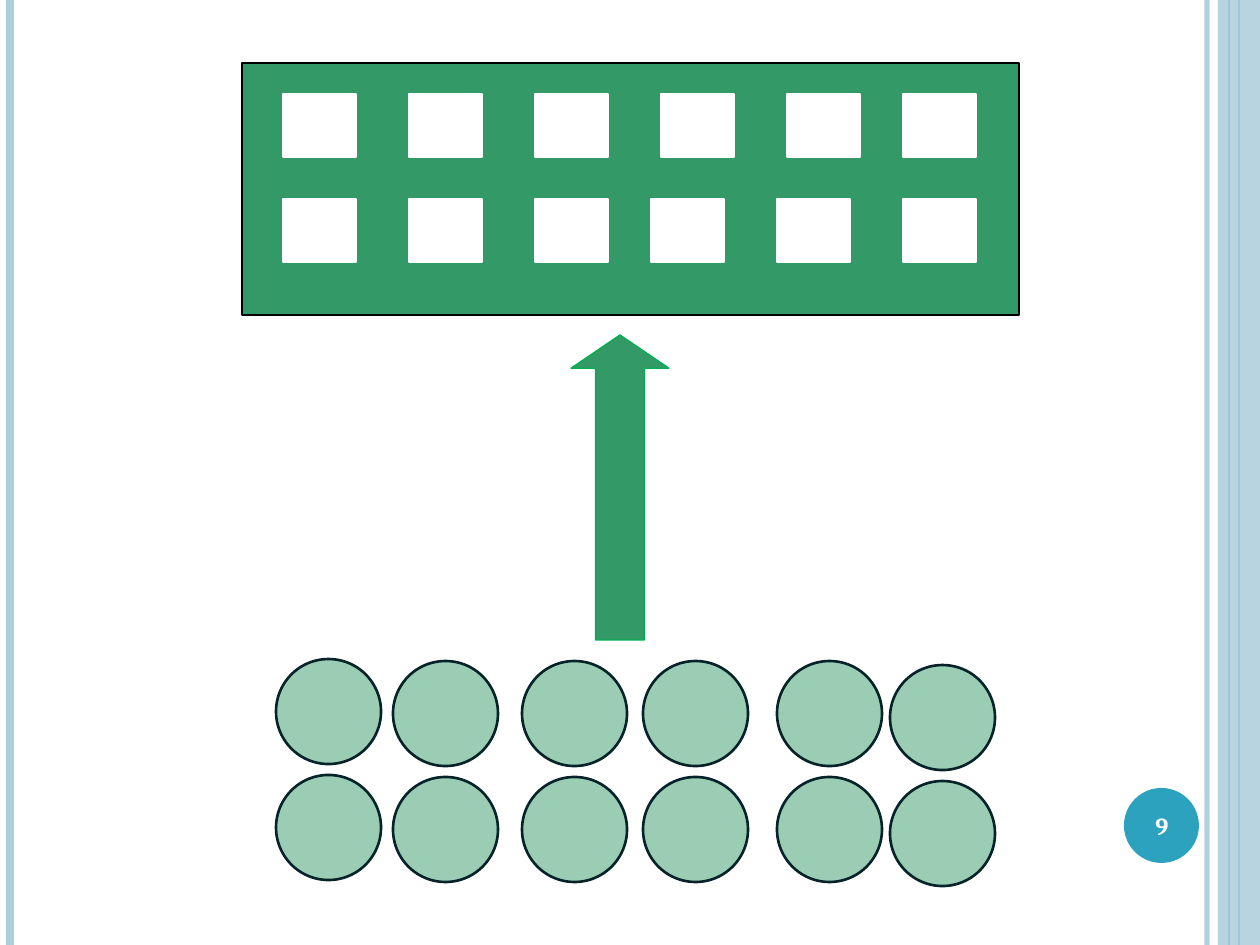
from lxml.etree import SubElement
from pptx import Presentation
from pptx.dml.color import RGBColor
from pptx.enum.shapes import MSO_CONNECTOR, MSO_SHAPE as Shape
from pptx.enum.text import MSO_ANCHOR, PP_ALIGN
from pptx.oxml.ns import qn
from pptx.util import Pt

EMU_PER_PX = 914400 / 126
WIDTH, HEIGHT = 1260, 945

WHITE = RGBColor(0xFF, 0xFF, 0xFF)
BLACK = RGBColor(0x00, 0x00, 0x00)
PALE_BLUE = RGBColor(0xAD, 0xCE, 0xDC)
TEAL = RGBColor(0x2D, 0xA2, 0xBF)
GREEN = RGBColor(0x33, 0x99, 0x66)
ARROW_EDGE = RGBColor(0x00, 0xB0, 0x50)
DARK = RGBColor(0x06, 0x23, 0x29)

WINDOW_ROWS = (
    (94, (283, 409, 535, 661, 787, 903)),
    (199, (283, 409, 535, 651, 777, 903)),
)
CIRCLE_COLUMNS = (
    (276, 659), (393, 661), (522, 661), (643, 661), (777, 661), (890, 665),
)
CIRCLE_SIZE, CIRCLE_PITCH = 105, 116


def px(length):
    """Turn pixels into EMU."""
    return round(length * EMU_PER_PX)


def set_opacity(solid_parent, percent):
    """Make the solid colour inside an element partly transparent."""
    color = solid_parent.find(qn("a:solidFill"))[0]
    SubElement(color, qn("a:alpha")).set("val", str(percent * 1000))


def add_figure(slide, kind, box, fill, edge=None, edge_width=0.75, opacity=100):
    """Add a filled preset shape, with an outline when an edge colour is given."""
    figure = slide.shapes.add_shape(kind, *map(px, box))
    figure.shadow.inherit = False
    figure.fill.solid()
    figure.fill.fore_color.rgb = fill
    if opacity < 100:
        set_opacity(figure._element.spPr, opacity)
    if edge is None:
        figure.line.fill.background()
    else:
        figure.line.color.rgb = edge
        figure.line.width = Pt(edge_width)
    return figure


def add_stripe(slide, x, color, width, opacity=100):
    """Add a vertical line over the full slide height."""
    stripe = slide.shapes.add_connector(
        MSO_CONNECTOR.STRAIGHT, px(x), 0, px(x), px(HEIGHT))
    stripe.line.color.rgb = color
    stripe.line.width = Pt(width)
    if opacity < 100:
        set_opacity(stripe.line._ln, opacity)
    SubElement(stripe._element.spPr, qn("a:effectLst"))


def add_frame(slide):
    """Add the side stripes and the badge of the page number."""
    add_stripe(slide, 1207, PALE_BLUE, 3, opacity=93)
    add_stripe(slide, 10, PALE_BLUE, 4.5)
    add_stripe(slide, 1239, TEAL, 0.75)
    add_stripe(slide, 1229, TEAL, 1.5)
    add_figure(slide, Shape.RECTANGLE, (1218, 0, 42, HEIGHT), PALE_BLUE, opacity=87)
    add_figure(slide, Shape.OVAL, (1124, 788, 75, 75), TEAL)


def add_panel(slide):
    """Add the green panel with its two rows of windows."""
    add_figure(slide, Shape.RECTANGLE, (242, 63, 777, 252), GREEN, BLACK)
    for top, lefts in WINDOW_ROWS:
        for left in lefts:
            add_figure(slide, Shape.RECTANGLE, (left, top, 73, 63), WHITE, WHITE)


def add_arrow(slide):
    """Add the arrow that points from the circles to the panel."""
    arrow = add_figure(slide, Shape.UP_ARROW, (571, 335, 98, 305), GREEN, ARROW_EDGE)
    arrow.adjustments[0] = 0.5
    arrow.adjustments[1] = 0.34


def add_circles(slide):
    """Add two circles to each column."""
    for left, first_top in CIRCLE_COLUMNS:
        for top in (first_top, first_top + CIRCLE_PITCH):
            add_figure(slide, Shape.OVAL, (left, top, CIRCLE_SIZE, CIRCLE_SIZE),
                       GREEN, DARK, 1.5, opacity=49)


def add_page_number(slide, number):
    """Write the page number over its badge."""
    frame = slide.shapes.add_textbox(*map(px, (1120, 790, 84, 72))).text_frame
    frame.word_wrap = True
    frame.vertical_anchor = MSO_ANCHOR.MIDDLE
    paragraph = frame.paragraphs[0]
    paragraph.text = number
    paragraph.alignment = PP_ALIGN.CENTER
    paragraph.font.name = "Cambria"
    paragraph.font.size = Pt(14)
    paragraph.font.bold = True
    paragraph.font.color.rgb = WHITE


def main():
    """Build the slide and save it."""
    deck = Presentation()
    deck.slide_width, deck.slide_height = px(WIDTH), px(HEIGHT)
    slide = deck.slides.add_slide(deck.slide_layouts[6])
    add_frame(slide)
    add_panel(slide)
    add_arrow(slide)
    add_circles(slide)
    add_page_number(slide, "9")
    deck.save("out.pptx")


if __name__ == "__main__":
    main()
